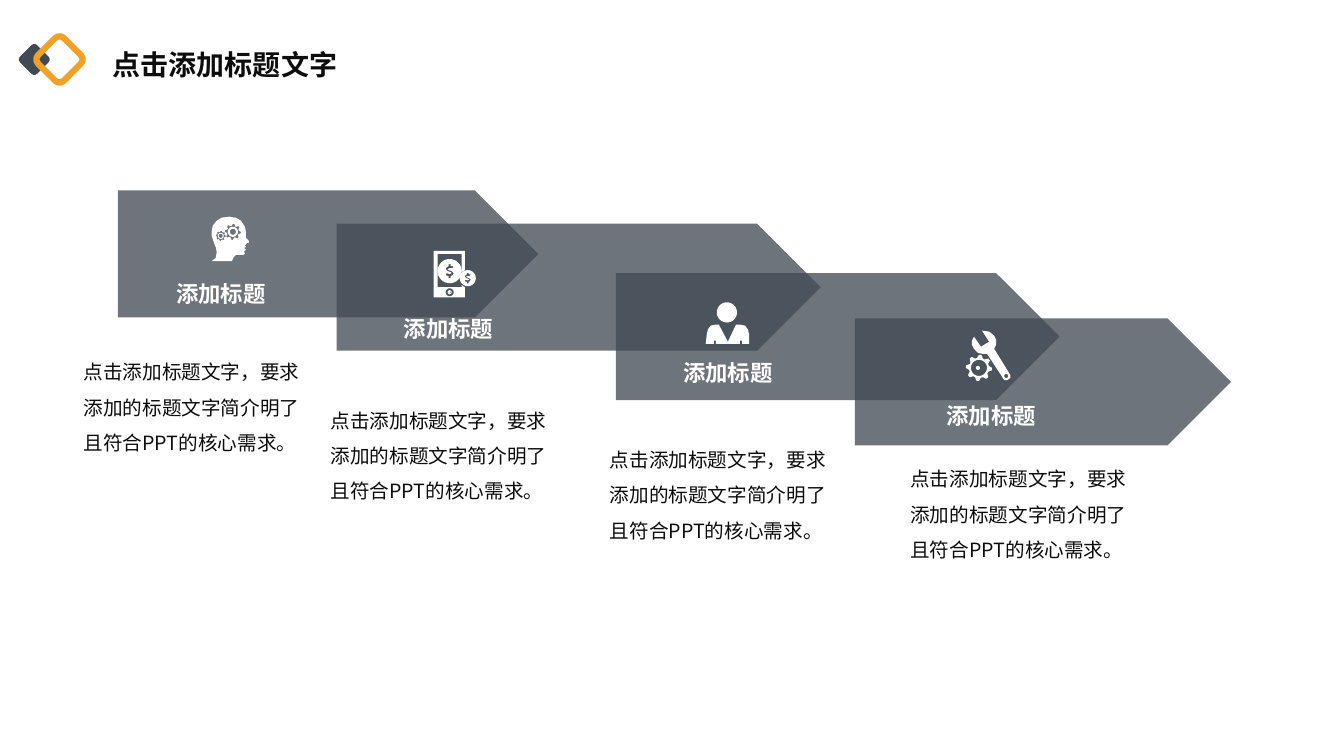
import math

import pptx
import pptx.dml.color
import pptx.enum.shapes
import pptx.enum.text
import pptx.oxml.ns
import pptx.util
from lxml import etree
from pptx.util import Inches

FONT = "Noto Sans CJK SC"
DARK, ORANGE, WHITE, INK = "414954", "EFA128", "FFFFFF", "0D0D0D"
LABEL = "添加标题"
DETAIL = "点击添加标题文字，要求添加的标题文字简介明了且符合PPT的核心需求。"
SHAPE = pptx.enum.shapes.MSO_SHAPE
ALIGN = pptx.enum.text.PP_ALIGN

prs = pptx.Presentation()
prs.slide_width, prs.slide_height = Inches(13.33), Inches(7.5)
slide = prs.slides.add_slide(prs.slide_layouts[6])
shapes = slide.shapes


def paint(fill, color):
    """Give a shape, line or font fill one solid hex colour."""
    fill.solid()
    fill.fore_color.rgb = pptx.dml.color.RGBColor.from_string(color)


def add_text(text, x, y, w, h, size=14, color=INK, bold=False, align=ALIGN.LEFT, spacing=1.0):
    tf = shapes.add_textbox(Inches(x), Inches(y), Inches(w), Inches(h)).text_frame
    tf.word_wrap = True
    tf.auto_size = pptx.enum.text.MSO_AUTO_SIZE.SHAPE_TO_FIT_TEXT
    p = tf.paragraphs[0]
    p.alignment, p.line_spacing = align, spacing
    r = p.add_run()
    r.text = text
    r.font.name, r.font.size, r.font.bold = FONT, pptx.util.Pt(size), bold
    paint(r.font.fill, color)
    ea = etree.SubElement(r.font._element, pptx.oxml.ns.qn("a:ea"))
    ea.set("typeface", FONT)


# An icon is a list of pieces, a piece a list of contours. A contour is either
# a list of points or a wheel: (centre x, centre y, outer radius, inner radius).
head = [
    (2.47, 2.39), (2.44, 2.36), (2.44, 2.3), (2.43, 2.25), (2.39, 2.19), (2.34, 2.16),
    (2.27, 2.15), (2.2, 2.16), (2.15, 2.19), (2.11, 2.24), (2.1, 2.3), (2.1, 2.34),
    (2.12, 2.4), (2.14, 2.45), (2.15, 2.5), (2.14, 2.56), (2.1, 2.59), (2.3, 2.59),
    (2.32, 2.55), (2.34, 2.53), (2.41, 2.53), (2.43, 2.52), (2.42, 2.49), (2.44, 2.48),
    (2.42, 2.46), (2.44, 2.45), (2.43, 2.44), (2.45, 2.41), (2.47, 2.41),
]
phone = [
    (4.3, 2.49), (4.61, 2.49), (4.61, 2.68), (4.58, 2.7), (4.58, 2.52), (4.34, 2.52),
    (4.34, 2.85), (4.58, 2.85), (4.58, 2.83), (4.61, 2.85), (4.61, 2.95), (4.3, 2.95),
]
power_bar = [(4.45, 2.88), (4.46, 2.88), (4.46, 2.91), (4.45, 2.91)]
dollar = [
    (0.01, 0.05), (0.01, 0.07), (-0.01, 0.07), (-0.01, 0.05), (-0.04, 0.04), (-0.03, 0.02),
    (0, 0.03), (0.02, 0.02), (0.01, 0.01), (-0.02, 0), (-0.04, -0.02), (-0.03, -0.04),
    (-0.01, -0.05), (-0.01, -0.07), (0.01, -0.07), (0.01, -0.05), (0.04, -0.05),
    (0.03, -0.03), (0, -0.03), (-0.02, -0.02), (-0.01, -0.01), (0.02, 0), (0.04, 0.02),
    (0.03, 0.04),
]
coins = [
    [(cx, cy, radius, radius), [(cx + x * zoom, cy + y * zoom) for x, y in dollar]]
    for cx, cy, radius, zoom in [(4.46, 2.69, 0.12, 1), (4.64, 2.76, 0.08, 0.75)]
]
suit = [
    (7.08, 3.41), (7.08, 3.38), (7.1, 3.38), (7.1, 3.41), (7.34, 3.41), (7.34, 3.38),
    (7.36, 3.38), (7.36, 3.41), (7.43, 3.41), (7.43, 3.32), (7.42, 3.27), (7.39, 3.23),
    (7.34, 3.22), (7.3, 3.22), (7.22, 3.39), (7.13, 3.22), (7.1, 3.22), (7.05, 3.23),
    (7.02, 3.27), (7.01, 3.32), (7, 3.41),
]
wrench = [
    (10.02, 3.72), (9.86, 3.46), (9.88, 3.42), (9.88, 3.37), (9.86, 3.33), (9.81, 3.29),
    (9.74, 3.28), (9.81, 3.39), (9.73, 3.44), (9.66, 3.34), (9.64, 3.38), (9.64, 3.42),
    (9.66, 3.46), (9.7, 3.5), (9.74, 3.51), (9.79, 3.51), (9.96, 3.77), (9.99, 3.77),
    (10.02, 3.75),
]
head_gears = [
    (2.19, 2.34, 0.05, 0.04), (2.19, 2.34, 0.03, 0.03), (2.19, 2.34, 0.02, 0.02),
    (2.31, 2.3, 0.08, 0.06), (2.31, 2.3, 0.05, 0.05), (2.31, 2.3, 0.03, 0.03),
]
power_button = [(4.46, 2.9, 0.04, 0.04), (4.46, 2.9, 0.02, 0.02), (4.46, 2.9, 0.01, 0.01)]
tool_gear = [(9.71, 3.65, 0.13, 0.1), (9.71, 3.65, 0.08, 0.08), (9.7, 3.65, 0.02, 0.02)]

# arrow (left, top, width), label (left, top), detail (left, top, width), icon
steps = [
    ((1.17, 1.89, 4.17), (1.57, 2.73), (0.73, 3.41, 2.43), [[head] + head_gears]),
    ((3.34, 2.22, 4.8), (3.83, 3.08), (3.18, 3.89, 2.43),
     [[phone] + power_button, [power_bar]] + coins),
    ((6.11, 2.71, 4.4), (6.6, 3.51), (5.95, 4.28, 2.43),
     [[(7.21, 3.1, 0.1, 0.1)], [suit]]),
    ((8.48, 3.16, 3.73), (9.21, 3.94), (8.93, 4.47, 2.51),
     [[wrench, (9.98, 3.73, 0.02, 0.02)], tool_gear]),
]

for (x, y, w), label_at, (dx, dy, dw), icon in steps:
    s = shapes.add_shape(SHAPE.PENTAGON, Inches(x), Inches(y), Inches(w), Inches(1.26))
    s.shadow.inherit = False
    paint(s.fill, DARK)
    s.line.fill.background()
    srgb = s.element.spPr.find(".//" + pptx.oxml.ns.qn("a:srgbClr"))
    etree.SubElement(srgb, pptx.oxml.ns.qn("a:alpha")).set("val", "76000")

    for piece in icon:
        builder = None
        for contour in piece:
            if isinstance(contour, tuple):
                cx, cy, outer, inner = contour
                points = []
                for k in range(32):  # eight teeth of four points
                    radius, angle = (outer, inner)[k % 4 // 2], k * math.pi / 16
                    points.append((cx + radius * math.cos(angle), cy + radius * math.sin(angle)))
            else:
                points = contour
            points = [(Inches(px), Inches(py)) for px, py in points]
            if builder is None:
                builder = shapes.build_freeform(*points[0])
            else:
                builder.move_to(*points[0])
            builder.add_line_segments(points[1:], close=True)
        s = builder.convert_to_shape()
        s.shadow.inherit = False
        paint(s.fill, WHITE)
        s.line.fill.background()

    add_text(LABEL, *label_at, 1.24, 0.37, size=16, color=WHITE, bold=True, align=ALIGN.CENTER)
    add_text(DETAIL, dx, dy, dw, 1.16, spacing=1.5)

add_text("点击添加标题文字", 1.02, 0.42, 3.6, 0.44, size=20, bold=True)

for x, y, side in [(0.22, 0.47, 0.24), (0.41, 0.41, 0.36)]:
    diamond = shapes.add_shape(
        SHAPE.ROUNDED_RECTANGLE, Inches(x), Inches(y), Inches(side), Inches(side))
    diamond.rotation = 45
    diamond.shadow.inherit = False
    if side == 0.24:
        paint(diamond.fill, DARK)
        diamond.line.fill.background()
    else:
        diamond.fill.background()
        paint(diamond.line.fill, ORANGE)
        diamond.line.width = pptx.util.Pt(4.5)

prs.save("out.pptx")
